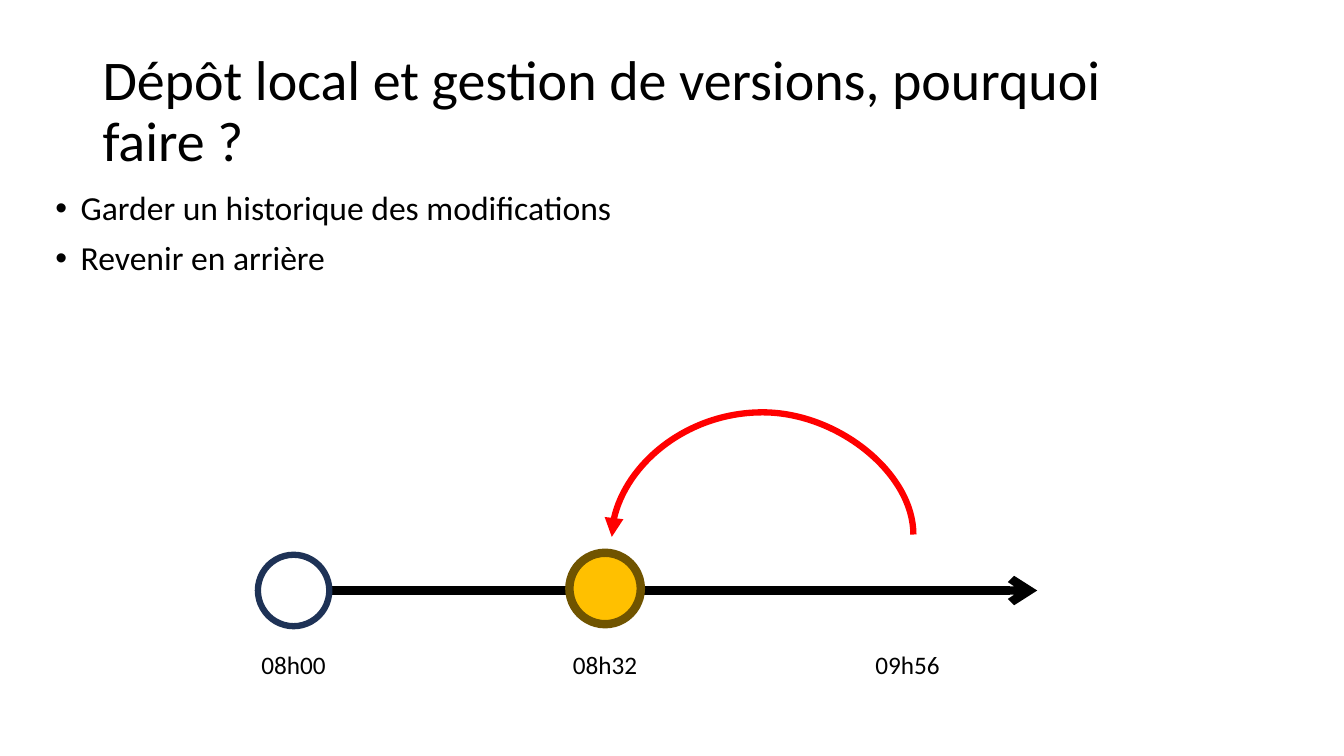
from dataclasses import dataclass

from lxml.etree import SubElement
from pptx import Presentation
from pptx.dml.color import RGBColor
from pptx.enum.shapes import MSO_CONNECTOR, MSO_SHAPE
from pptx.enum.text import MSO_ANCHOR, MSO_AUTO_SIZE, PP_ALIGN
from pptx.oxml.ns import qn
from pptx.util import Cm, Pt


@dataclass(frozen=True)
class Theme:
    font: str = "Calibri"
    title: int = 40
    body: int = 24
    label: int = 18
    black: str = "000000"
    white: str = "FFFFFF"
    navy: str = "1E3256"
    gold: str = "FFC000"
    brown: str = "705400"
    red: str = "FF0000"


THEME = Theme()


def place(shape, left, top, width, height):
    shape.left, shape.top = Cm(left), Cm(top)
    shape.width, shape.height = Cm(width), Cm(height)


def style(para, size):
    para.font.name = THEME.font
    para.font.size = Pt(size)
    para.font.color.rgb = RGBColor.from_string(THEME.black)


def paint(line, color, width):
    line.color.rgb = RGBColor.from_string(color)
    line.width = Pt(width)


def add_line(slide, kind, start, end, color, width, head):
    """Draw a connector without shadow, with an arrowhead at its end."""
    line = slide.shapes.add_connector(kind, *map(Cm, start + end))
    paint(line.line, color, width)
    props = line._element.spPr
    SubElement(props.find(qn("a:ln")), qn("a:tailEnd"), type=head)
    SubElement(props, qn("a:effectLst"))
    return line


def add_title(slide, text, box):
    title = slide.shapes.title
    place(title, *box)
    frame = title.text_frame
    frame.text = text
    frame.auto_size = MSO_AUTO_SIZE.NONE
    frame.vertical_anchor = MSO_ANCHOR.MIDDLE
    para = frame.paragraphs[0]
    para.alignment = PP_ALIGN.LEFT
    para.line_spacing = 0.9
    style(para, THEME.title)


def add_list(slide, items, box):
    body = slide.placeholders[1]
    place(body, *box)
    frame = body.text_frame
    frame.text = "\n".join(items)
    frame.auto_size = MSO_AUTO_SIZE.NONE
    for i, para in enumerate(frame.paragraphs):
        props = para._p.get_or_add_pPr()
        props.set("marL", str(Cm(0.64)))
        props.set("indent", str(-Cm(0.64)))
        SubElement(props, qn("a:buFont"), typeface="Arial")
        SubElement(props, qn("a:buChar"), char="•")
        para.line_spacing = 0.9
        para.space_before = Pt(10 if i else 0)
        style(para, THEME.body)


def add_dot(slide, x, y, fill, edge, width):
    """Draw a commit as a circle centred on x, y."""
    size = 1.8
    dot = slide.shapes.add_shape(
        MSO_SHAPE.OVAL, Cm(x - size / 2), Cm(y - size / 2), Cm(size), Cm(size))
    dot.shadow.inherit = False
    dot.fill.solid()
    dot.fill.fore_color.rgb = RGBColor.from_string(fill)
    paint(dot.line, edge, width)


def add_label(slide, text, x, top):
    """Write a time centred on x."""
    width = 2.16
    label = slide.shapes.add_textbox(Cm(x - width / 2), Cm(top), Cm(width), Cm(1.02))
    frame = label.text_frame
    frame.word_wrap = False
    frame.auto_size = MSO_AUTO_SIZE.SHAPE_TO_FIT_TEXT
    frame.text = text
    para = frame.paragraphs[0]
    para.alignment = PP_ALIGN.CENTER
    style(para, THEME.label)


def add_return(slide, x, y, span):
    """Draw the arc back in time, centred on x, y, as a quarter-turned curve."""
    thin, rise = 0.06, 3.08
    arc = add_line(slide, MSO_CONNECTOR.CURVE,
                   (x + thin / 2, y + span / 2), (x - thin / 2, y - span / 2),
                   THEME.red, 4.5, "triangle")
    props = arc._element.spPr
    props.find(qn("a:xfrm")).set("rot", str(270 * 60000))
    guides = props.find(qn("a:prstGeom")).find(qn("a:avLst"))
    bend = round(-rise / thin * 100000)
    SubElement(guides, qn("a:gd"), name="adj1", fmla=f"val {bend}")


def add_history(slide, box):
    left, top, width, height = box
    axis = top + 4.5
    add_line(slide, MSO_CONNECTOR.STRAIGHT, (left + 1.02, axis),
             (left + width, axis), THEME.black, 6, "arrow")
    first, second, third = left + 1.05, left + 8.9, left + 16.52
    add_dot(slide, first, axis, THEME.white, THEME.navy, 4.5)
    add_dot(slide, second, axis - 0.05, THEME.gold, THEME.brown, 6)
    for text, x in (("08h00", first), ("08h32", second), ("09h56", third)):
        add_label(slide, text, x, top + height - 1.02)
    add_return(slide, left + 12.87, axis - 1.38, 7.6)


def main():
    deck = Presentation()
    deck.slide_width, deck.slide_height = Cm(33.87), Cm(19.05)
    slide = deck.slides.add_slide(deck.slide_layouts[1])
    add_title(slide, "Dépôt local et gestion de versions, pourquoi faire ?",
              (2.33, 1.01, 29.21, 3.68))
    add_list(slide, ("Garder un historique des modifications", "Revenir en arrière"),
             (1.14, 4.7, 15.24, 12.09))
    add_history(slide, (6.35, 10.38, 19.79, 6.87))
    deck.save("out.pptx")


if __name__ == "__main__":
    main()
